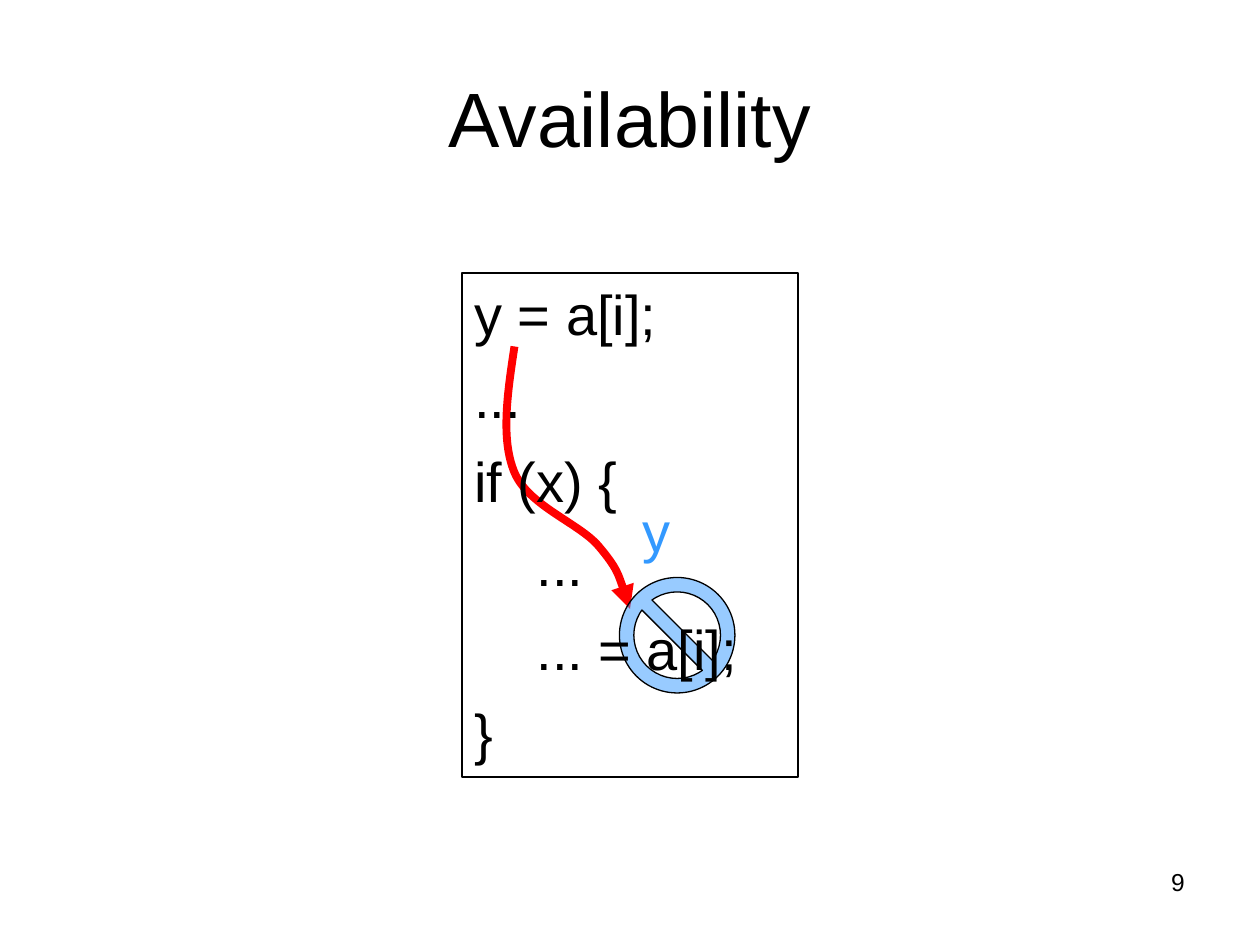
import pptx
import pptx.util
import pptx.dml.color
import pptx.enum.shapes
import pptx.enum.text
import pptx.oxml.ns
from lxml import etree

Pt = pptx.util.Pt
Shape = pptx.enum.shapes.MSO_SHAPE
Align = pptx.enum.text.PP_ALIGN
Anchor = pptx.enum.text.MSO_ANCHOR
qn = pptx.oxml.ns.qn
COLORS = {"text": "000000", "blue": "3399FF", "red": "FF0000"}


def rgb(name):
    return pptx.dml.color.RGBColor.from_string(COLORS[name])


def write(shape, text, size, color="text", align=Align.LEFT, anchor=Anchor.TOP):
    frame = shape.text_frame
    frame.text = text
    frame.word_wrap = True
    frame.vertical_anchor = anchor
    for para in frame.paragraphs:
        para.alignment = align
        for run in para.runs:
            run.font.size = Pt(size)
            run.font.name = "Arial"
            run.font.color.rgb = rgb(color)


deck = pptx.Presentation()
deck.slide_width, deck.slide_height = Pt(720), Pt(540)
slide = deck.slides.add_slide(deck.slide_layouts[5])
shapes = slide.shapes

title = shapes.title
title.left, title.top, title.width, title.height = Pt(36), Pt(21.6), Pt(648), Pt(90)
write(title, "Availability", 44, align=Align.CENTER, anchor=Anchor.MIDDLE)

label = shapes.add_textbox(Pt(360), Pt(284.4), Pt(38), Pt(46))
write(label, "y", 32, "blue")
label.text_frame.paragraphs[0].line_spacing = 0.9

# Start point, then three points for each curve
points = [(294, 198), (290, 224.5), (286, 251), (294, 270),
          (302, 289), (331, 299), (342, 312),
          (353, 325), (356.5, 336.5), (360, 348)]
points = [(Pt(x), Pt(y)) for x, y in points]
pen = shapes.build_freeform(*points[0])
pen.add_line_segments(points[1:], close=False)
flow = pen.convert_to_shape()
flow.shadow.inherit = False
flow.fill.background()
flow.line.color.rgb = rgb("red")
flow.line.width = Pt(4.5)
etree.SubElement(flow.line._get_or_add_ln(), qn("a:tailEnd"), type="triangle")
route = next(flow._element.iter(qn("a:path")))
lines = route.findall(qn("a:lnTo"))
for first in range(0, len(lines), 3):
    curve = etree.SubElement(route, qn("a:cubicBezTo"))
    for line in lines[first:first + 3]:
        curve.append(line[0])
        route.remove(line)

ban = shapes.add_shape(Shape.NO_SYMBOL, Pt(354), Pt(330), Pt(66), Pt(66))
ban.adjustments[0] = 0.125
ban.fill.solid()
ban.fill.fore_color.rgb = rgb("blue")
tint = next(ban._element.spPr.iter(qn("a:srgbClr")))
etree.SubElement(tint, qn("a:alpha"), val="50000")

code = shapes.add_shape(Shape.RECTANGLE, Pt(264), Pt(156), Pt(192), Pt(288))
code.fill.background()
write(code, "y = a[i];\n...\nif (x) {\n...\n... = a[i];\n}", 32)
for row, para in enumerate(code.text_frame.paragraphs):
    para.space_before = Pt(9.5)
    if row in (3, 4):
        para._p.get_or_add_pPr().set("marL", str(Pt(35.5)))

for shape in (ban, code):
    shape.shadow.inherit = False
    shape.line.color.rgb = rgb("text")
    shape.line.width = Pt(0.75)

number = shapes.add_textbox(Pt(516), Pt(492), Pt(168), Pt(37.5))
write(number, "9", 14, align=Align.RIGHT)

deck.save("out.pptx")
